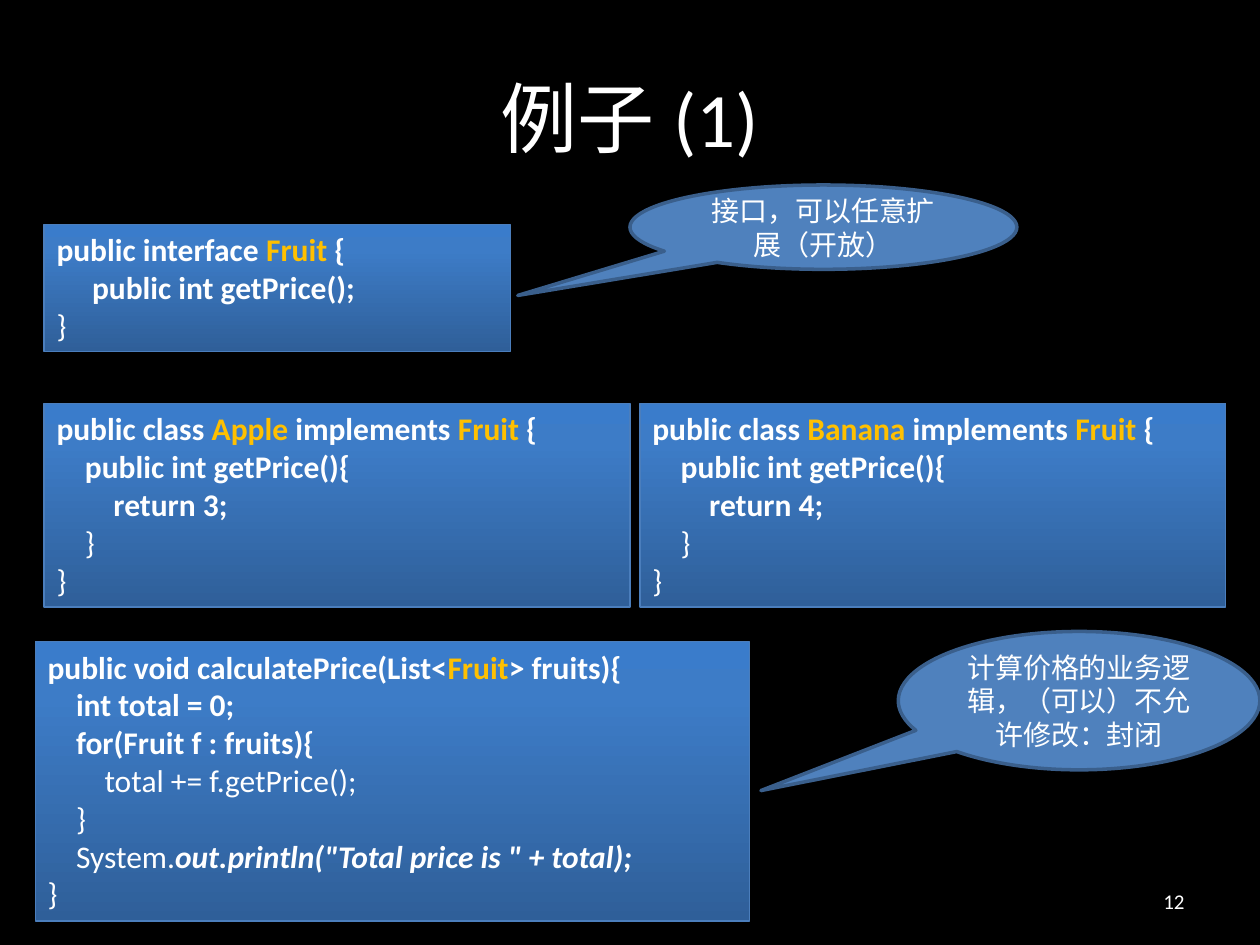
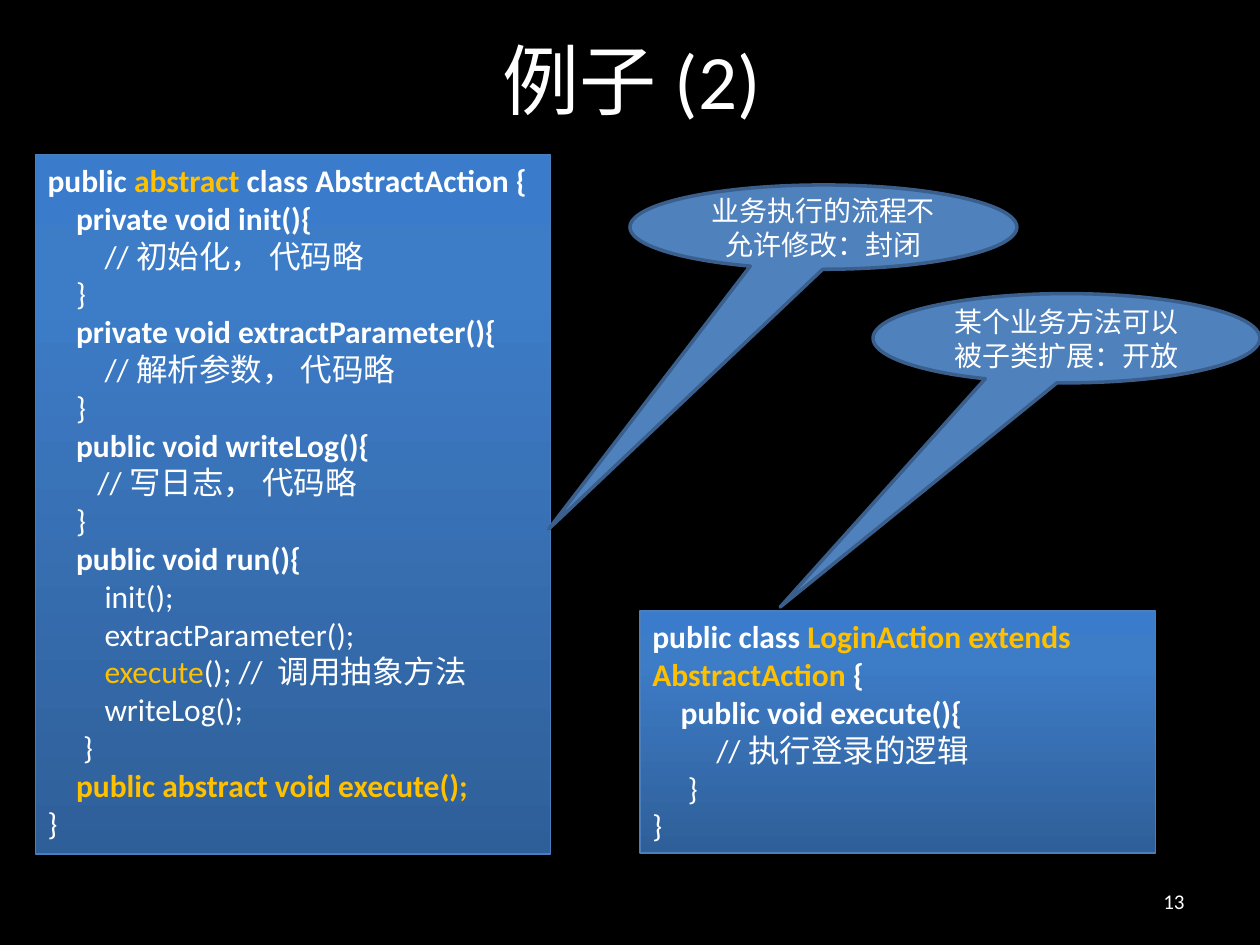
from copy import deepcopy

from lxml import etree
from pptx import Presentation
from pptx.dml.color import RGBColor
from pptx.enum.shapes import MSO_SHAPE
from pptx.enum.text import MSO_ANCHOR, MSO_AUTO_SIZE, PP_ALIGN
from pptx.oxml.ns import qn
from pptx.util import Cm, Pt

RECTANGLE = MSO_SHAPE.RECTANGLE
CALLOUT = MSO_SHAPE.OVAL_CALLOUT
TOP, MIDDLE = MSO_ANCHOR.TOP, MSO_ANCHOR.MIDDLE
GROW = MSO_AUTO_SIZE.SHAPE_TO_FIT_TEXT
LEFT, CENTER, RIGHT = PP_ALIGN.LEFT, PP_ALIGN.CENTER, PP_ALIGN.RIGHT

COLORS = {
    "background": "000000",
    "text": "FFFFFF",
    "accent": "FFC000",
    "code_dark": "2F5F99",
    "code_mid": "3D7CC7",
    "code_light": "3A7CCB",
    "code_line": "4B7EBC",
    "callout": "4F81BD",
    "callout_line": "3A5F8C",
    "shadow": "000000",
}
LATIN_FONT = "Calibri"
CHINESE_FONT = "Noto Sans CJK SC"
INDENT_STEP = 0.1435
FIRST_NUMBER = 12

PLAIN, BOLD, ACCENT, BOLD_ACCENT, BOLD_ITALIC = range(5)
BOLD_STYLES = (BOLD, BOLD_ACCENT, BOLD_ITALIC)
ACCENT_STYLES = (ACCENT, BOLD_ACCENT)


def rgb(name):
    return RGBColor.from_string(COLORS[name])


class Deck:
    def __init__(self):
        self.presentation = Presentation()
        self.presentation.slide_width = Cm(25.4)
        self.presentation.slide_height = Cm(19.05)
        self.presentation.element.set("firstSlideNum", str(FIRST_NUMBER))
        background = self.presentation.slide_master.background.fill
        background.solid()
        background.fore_color.rgb = rgb("background")
        self.slide = None

    def start_slide(self, title, left, top):
        layout = self.presentation.slide_layouts[5]
        self.slide = self.presentation.slides.add_slide(layout)
        shape = self.slide.shapes.title
        shape.left, shape.top = Cm(left), Cm(top)
        shape.width, shape.height = Cm(22.86), Cm(3.18)
        frame = shape.text_frame
        frame.text = title
        frame.vertical_anchor = MIDDLE
        frame.paragraphs[0].alignment = CENTER
        self.format_run(frame.paragraphs[0].runs[0], 44)

    def format_run(self, run, size, style=PLAIN, latin=LATIN_FONT):
        font = run.font
        font.name = latin
        font.size = Pt(size)
        font.bold = style in BOLD_STYLES
        font.italic = style == BOLD_ITALIC
        font.color.rgb = rgb("accent" if style in ACCENT_STYLES else "text")
        east_asian = etree.Element(qn("a:ea"), typeface=CHINESE_FONT)
        font._element.find(qn("a:latin")).addnext(east_asian)

    def add_shape(self, kind, box, line_color, line_width):
        shape = self.slide.shapes.add_shape(kind, *map(Cm, box))
        shape.shadow.inherit = False
        shape.line.color.rgb = rgb(line_color)
        shape.line.width = Pt(line_width)
        shape.text_frame.word_wrap = True
        return shape

    def paint_gradient(self, shape):
        shape.fill.gradient()
        shape.fill.gradient_angle = 90
        stop_list = shape._element.spPr.find(".//" + qn("a:gsLst"))
        stop_list.append(deepcopy(stop_list[-1]))
        values = ((0, "code_dark"), (0.8, "code_mid"), (1, "code_light"))
        for stop, (position, color) in zip(shape.fill.gradient_stops, values):
            stop.position = position
            stop.color.rgb = rgb(color)

    def add_shadow(self, shape):
        effects = shape._element.spPr.find(qn("a:effectLst"))
        shadow = etree.SubElement(
            effects, qn("a:outerShdw"), blurRad=str(Pt(3.1)),
            dist=str(Pt(1.8)), dir="5400000", rotWithShape="0")
        color = etree.SubElement(shadow, qn("a:srgbClr"), val=COLORS["shadow"])
        etree.SubElement(color, qn("a:alpha"), val="35000")

    def add_code(self, box, lines):
        shape = self.add_shape(RECTANGLE, box, "code_line", 0.75)
        self.paint_gradient(shape)
        self.add_shadow(shape)
        frame = shape.text_frame
        frame.vertical_anchor = TOP
        frame.auto_size = GROW
        for index, (indent, *parts) in enumerate(lines):
            paragraph = frame.add_paragraph() if index else frame.paragraphs[0]
            paragraph.alignment = LEFT
            if indent:
                margin = Cm(indent * INDENT_STEP)
                paragraph._p.get_or_add_pPr().set("marL", str(margin))
            for text, style in parts:
                run = paragraph.add_run()
                run.text = text
                self.format_run(run, 18, style)

    def add_callout(self, box, pointer, text):
        shape = self.add_shape(CALLOUT, box, "callout_line", 2)
        shape.fill.solid()
        shape.fill.fore_color.rgb = rgb("callout")
        for index, offset in enumerate(pointer):
            shape.adjustments[index] = offset
        frame = shape.text_frame
        frame.text = text
        frame.vertical_anchor = MIDDLE
        frame.paragraphs[0].alignment = CENTER
        self.format_run(frame.paragraphs[0].runs[0], 16, latin=CHINESE_FONT)

    def add_number(self):
        box = map(Cm, (18.21, 17.65, 5.92, 1.02))
        frame = self.slide.shapes.add_textbox(*box).text_frame
        frame.word_wrap = True
        frame.vertical_anchor = MIDDLE
        paragraph = frame.paragraphs[0]
        paragraph.alignment = RIGHT
        run = paragraph.add_run()
        run.text = str(FIRST_NUMBER + len(self.presentation.slides) - 1)
        self.format_run(run, 12)
        field = etree.Element(
            qn("a:fld"), type="slidenum",
            id="{B6F15528-21DE-4FAA-801E-634DDDAF4B2B}")
        run._r.addprevious(field)
        field.extend(list(run._r))
        paragraph._p.remove(run._r)


def fruit_class(name, price):
    return [
        (0, ("public class ", BOLD), (name, BOLD_ACCENT),
         (" implements ", BOLD), ("Fruit", BOLD_ACCENT), (" {", BOLD)),
        (4, ("public int getPrice(){", BOLD)),
        (8, (f"return {price};", BOLD)),
        (4, ("}", PLAIN)),
        (0, ("}", PLAIN)),
    ]


def method(signature, comment, indent=8):
    return [
        (4, (signature, BOLD)),
        (indent, (comment, PLAIN)),
        (4, ("}", PLAIN)),
    ]


fruit_interface = [
    (0, ("public interface ", BOLD), ("Fruit", BOLD_ACCENT), (" {", BOLD)),
    (5, ("public int getPrice();", BOLD)),
    (0, ("}", PLAIN)),
]
price_calculation = [
    (0, ("public void calculatePrice(List<", BOLD), ("Fruit", BOLD_ACCENT),
     ("> fruits){", BOLD)),
    (4, ("int total = 0;", BOLD)),
    (4, ("for(Fruit f : fruits){", BOLD)),
    (8, ("total += f.getPrice();", PLAIN)),
    (4, ("}", PLAIN)),
    (4, ("System.", PLAIN),
     ('out.println("Total price is " + total);', BOLD_ITALIC)),
    (0, ("}", PLAIN)),
]
abstract_action = [
    (0, ("public ", BOLD), ("abstract", BOLD_ACCENT),
     (" class AbstractAction {", BOLD)),
    *method("private void init(){", "//初始化， 代码略"),
    *method("private void extractParameter(){", "//解析参数， 代码略"),
    *method("public void writeLog(){", "//写日志， 代码略", 7),
    (4, ("public void run(){", BOLD)),
    (8, ("init();", PLAIN)),
    (8, ("extractParameter();", PLAIN)),
    (8, ("execute", ACCENT), ("(); // 调用抽象方法", PLAIN)),
    (8, ("writeLog();", PLAIN)),
    (5, ("}", PLAIN)),
    (4, ("public abstract void execute();", BOLD_ACCENT)),
    (0, ("}", PLAIN)),
]
login_action = [
    (0, ("public class ", BOLD),
     ("LoginAction extends AbstractAction", BOLD_ACCENT), (" {", BOLD)),
    (4, ("public void execute(){", BOLD)),
    (9, ("//执行登录的逻辑", PLAIN)),
    (5, ("}", PLAIN)),
    (0, ("}", PLAIN)),
]

deck = Deck()

deck.start_slide("例子(1)", 1.27, 0.76)
deck.add_code((0.89, 4.52, 9.4, 2.57), fruit_interface)
deck.add_code((0.89, 8.13, 11.81, 4.11), fruit_class("Apple", 3))
deck.add_code((12.9, 8.13, 11.81, 4.11), fruit_class("Banana", 4))
deck.add_code((0.71, 12.93, 14.4, 5.64), price_calculation)
deck.add_callout((12.7, 3.73, 7.8, 1.7), (-0.79, 0.81),
                 "接口，可以任意扩展（开放）")
deck.add_callout((18.11, 12.73, 7.29, 2.79), (-0.88, 0.65),
                 "计算价格的业务逻辑，（可以）不允许修改：封闭")
deck.add_number()

deck.start_slide("例子(2)", 1.3, 0)
deck.add_code((0.71, 3.12, 10.39, 14.1), abstract_action)
deck.add_code((12.9, 12.32, 10.39, 4.88), login_action)
deck.add_callout((12.7, 3.73, 7.8, 1.7), (-0.71, 3.58),
                 "业务执行的流程不允许修改：封闭")
deck.add_callout((17.6, 5.92, 7.8, 1.8), (-0.74, 3.01),
                 "某个业务方法可以被子类扩展：开放")
deck.add_number()

deck.presentation.save("out.pptx")
